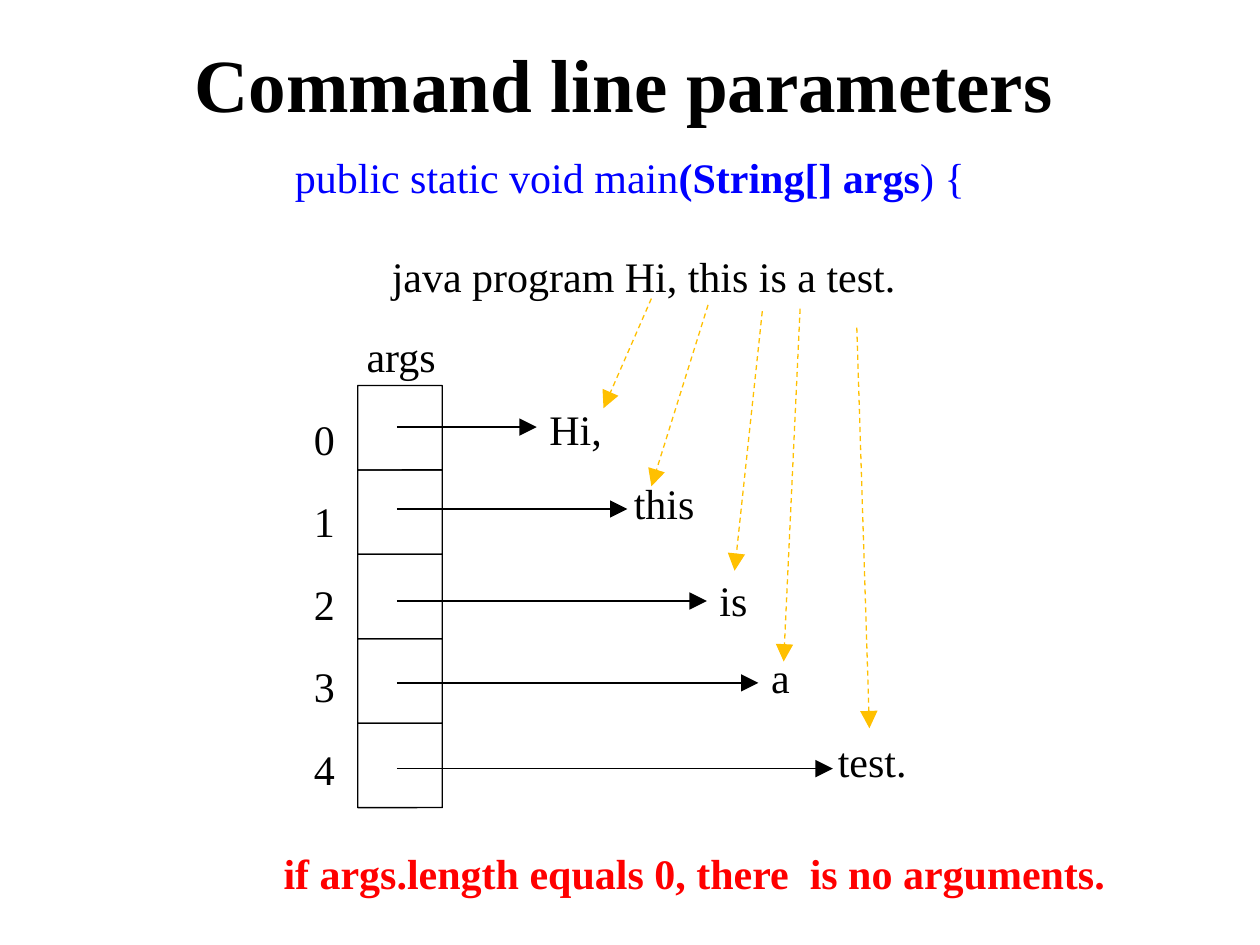
import dataclasses

import lxml.etree
import pptx
import pptx.dml.color
import pptx.enum.dml
import pptx.enum.shapes
import pptx.enum.text
import pptx.oxml.ns
import pptx.util

Inches = pptx.util.Inches
FONT = "Times New Roman"
COLORS = {"ink": "000000", "code": "0000FF", "warning": "FF0000", "mapping": "FFC000"}
CELL_COUNT = 5
CELL_LEFT, CELL_TOP, CELL_SIDE = 2.84, 3.06, 0.67
INDEX_TOP, INDEX_BOTTOM = 3.28, 5.9
INDEX_PITCH = (INDEX_BOTTOM - INDEX_TOP) / (CELL_COUNT - 1)
REFERENCE_LEFT = 3.15


@dataclasses.dataclass(frozen=True)
class Span:
    text: str
    bold: bool = False


@dataclasses.dataclass(frozen=True)
class Label:
    left: float
    top: float
    width: float
    spans: tuple[Span, ...]
    color: str = "ink"


@dataclasses.dataclass(frozen=True)
class Argument:
    label: Label
    reference_y: float
    reference_end: float
    mapping_start: tuple[float, float]
    mapping_end: tuple[float, float]


LABELS = [
    Label(2.91, 2.62, 0.57, (Span("args"),)),
    Label(3.11, 1.99, 4.05, (Span("java program Hi, this is a test."),)),
    Label(2.34, 1.2, 5.58, (Span("public static void main"), Span("(String[] args", True), Span(") {")), "code"),
    Label(2.25, 6.73, 6.61, (Span("if args.length equals 0, there  is no arguments.", True),), "warning"),
]
ARGUMENTS = [
    Argument(Label(4.36, 3.2, 0.44, (Span("Hi,"),)), 3.39, 4.26, (5.17, 2.37), (4.79, 3.24)),
    Argument(Label(5.03, 3.79, 0.51, (Span("this"),)), 4.04, 4.98, (5.62, 2.42), (5.17, 3.86)),
    Argument(Label(5.71, 4.56, 0.25, (Span("is"),)), 4.77, 5.61, (6.05, 2.47), (5.83, 4.53)),
    Argument(Label(6.12, 5.17, 0.17, (Span("a"),)), 5.42, 6.02, (6.35, 2.45), (6.22, 5.25)),
    Argument(Label(6.65, 5.84, 0.57, (Span("test."),)), 6.1, 6.61, (6.8, 2.6), (6.9, 5.78)),
]


def rgb(color: str) -> pptx.dml.color.RGBColor:
    return pptx.dml.color.RGBColor.from_string(COLORS[color])


def add_span(para, span: Span, size: float, color: str) -> None:
    run = para.add_run()
    run.text = span.text
    run.font.name = FONT
    run.font.size = pptx.util.Pt(size)
    run.font.bold = span.bold
    run.font.color.rgb = rgb(color)


def add_title(page, text: str) -> None:
    box = page.shapes.add_textbox(Inches(0.75), Inches(0.24), Inches(8.4), Inches(0.83))
    frame = box.text_frame
    frame.word_wrap = True
    frame.vertical_anchor = pptx.enum.text.MSO_ANCHOR.MIDDLE
    para = frame.paragraphs[0]
    para.alignment = pptx.enum.text.PP_ALIGN.CENTER
    add_span(para, Span(text, True), 42.9, "ink")


def add_label(page, label: Label) -> None:
    box = page.shapes.add_textbox(Inches(label.left), Inches(label.top), Inches(label.width), Inches(0.4))
    frame = box.text_frame
    frame.word_wrap = True
    frame.margin_left = frame.margin_top = frame.margin_right = frame.margin_bottom = 0
    for span in label.spans:
        add_span(frame.paragraphs[0], span, 24, label.color)


def add_array(page) -> None:
    array = page.shapes.add_group_shape()
    for index in range(CELL_COUNT):
        cell = array.shapes.add_shape(
            pptx.enum.shapes.MSO_SHAPE.ROUNDED_RECTANGLE,
            Inches(CELL_LEFT),
            Inches(CELL_TOP + index * CELL_SIDE),
            Inches(CELL_SIDE),
            Inches(CELL_SIDE),
        )
        cell.adjustments[0] = 0.002
        cell.shadow.inherit = False
        cell.fill.background()
        cell.line.color.rgb = rgb("ink")
        cell.line.width = pptx.util.Pt(0.75)


def add_arrow(page, start: tuple[float, float], end: tuple[float, float], color: str, dashed: bool = False) -> None:
    arrow = page.shapes.add_connector(
        pptx.enum.shapes.MSO_CONNECTOR.STRAIGHT, *map(Inches, start), *map(Inches, end)
    )
    arrow.line.color.rgb = rgb(color)
    arrow.line.width = pptx.util.Pt(0.75)
    if dashed:
        arrow.line.dash_style = pptx.enum.dml.MSO_LINE.DASH
    qn = pptx.oxml.ns.qn
    properties = arrow.line._get_or_add_ln()
    lxml.etree.SubElement(properties, qn("a:tailEnd"), type="triangle", w="lg", len="lg")
    lxml.etree.SubElement(arrow._element.spPr, qn("a:effectLst"))


def main() -> None:
    """Build the slide on command line parameters and save it."""
    deck = pptx.Presentation()
    deck.slide_width, deck.slide_height = Inches(10), Inches(7.5)
    page = deck.slides.add_slide(deck.slide_layouts[6])
    add_title(page, "Command line parameters")
    add_array(page)
    for index in range(CELL_COUNT):
        add_label(page, Label(2.49, INDEX_TOP + index * INDEX_PITCH, 0.19, (Span(str(index)),)))
    for label in LABELS:
        add_label(page, label)
    for argument in ARGUMENTS:
        add_label(page, argument.label)
        y = argument.reference_y
        add_arrow(page, (REFERENCE_LEFT, y), (argument.reference_end, y), "ink")
        add_arrow(page, argument.mapping_start, argument.mapping_end, "mapping", dashed=True)
    deck.save("out.pptx")


if __name__ == "__main__":
    main()
